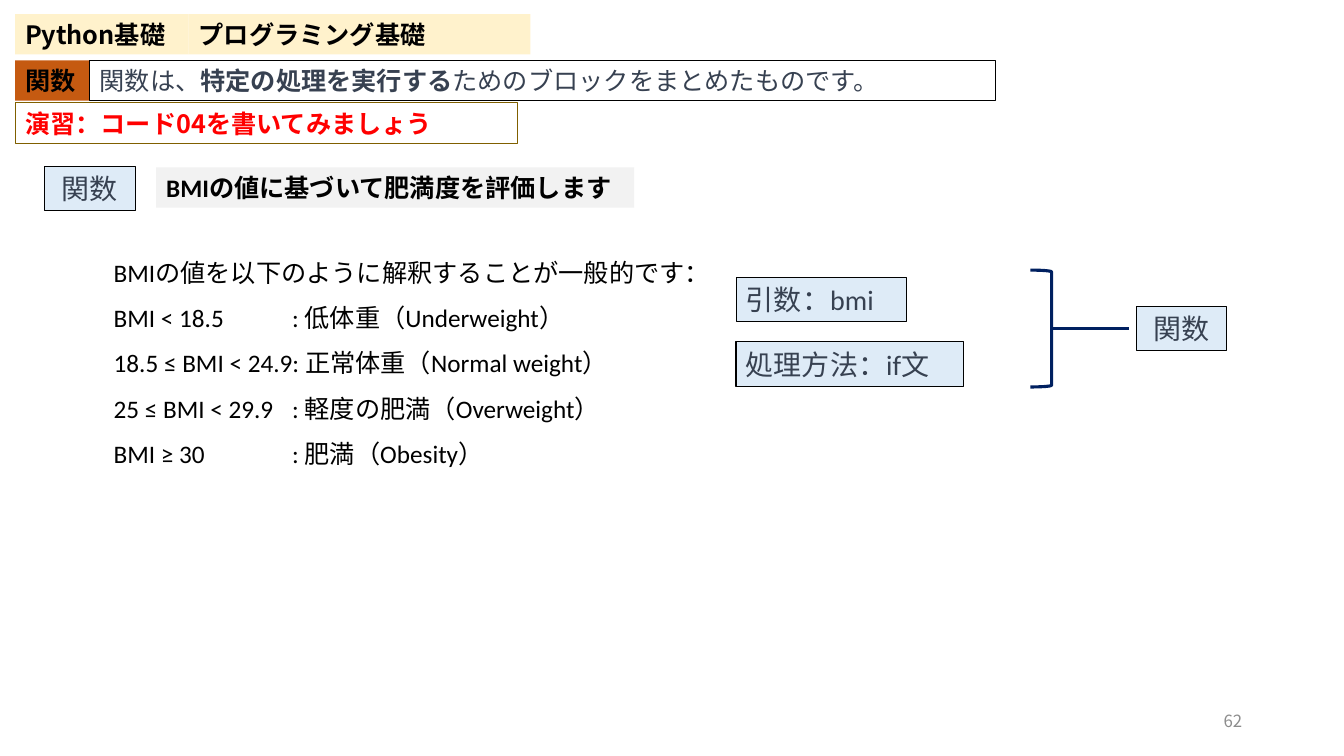
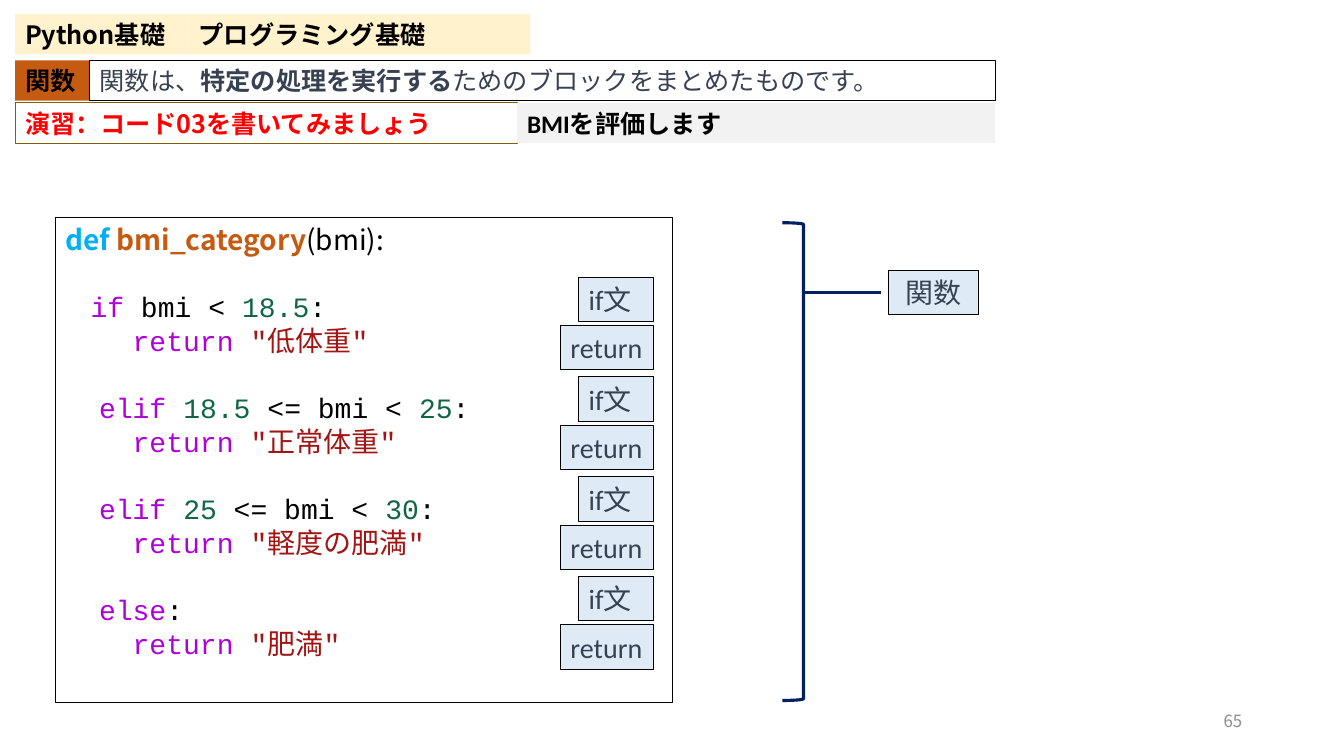
from lxml import etree
from pptx import Presentation
from pptx.dml.color import RGBColor
from pptx.enum.shapes import MSO_CONNECTOR as CONN, MSO_SHAPE as SHAPE
from pptx.enum.text import MSO_ANCHOR as ANCHOR, MSO_AUTO_SIZE as AUTO, PP_ALIGN as ALIGN
from pptx.oxml.ns import qn
from pptx.util import Inches, Pt

C = {
    "black": "000000", "cream": "FFF2CC", "orange": "C55A11", "red": "FF0000",
    "olive": "806000", "slate": "374151", "pale": "DEEBF7", "gray": "F2F2F2",
    "navy": "002060", "number": "8C8C8C", "cyan": "00B0F0", "keyword": "AF00DB",
    "literal": "116644", "string": "A31515",
}
SANS, BODY, MONO = "Noto Sans CJK JP", "Calibri", "Courier New"


def write(p, text, size, font=BODY, color="black", bold=False):
    r = p.add_run()
    r.text = text
    r.font.size = Pt(size)
    r.font.bold = bold
    r.font.color.rgb = RGBColor.from_string(C[color])
    r.font.name = font
    if font == SANS:
        etree.SubElement(r._r.rPr, qn("a:ea")).set("typeface", font)


def box(s, x, y, w, h, fill=None, line=None, align=ALIGN.LEFT, anchor=ANCHOR.MIDDLE,
        shape=SHAPE.RECTANGLE, weight=0.75):
    sp = s.shapes.add_shape(shape, Inches(x), Inches(y), Inches(w), Inches(h))
    sp.shadow.inherit = False
    if fill:
        sp.fill.solid()
        sp.fill.fore_color.rgb = RGBColor.from_string(C[fill])
    else:
        sp.fill.background()
    if line:
        sp.line.color.rgb = RGBColor.from_string(C[line])
        sp.line.width = Pt(weight)
    else:
        sp.line.fill.background()
    tf = sp.text_frame
    tf.word_wrap = True
    tf.vertical_anchor = anchor
    tf.paragraphs[0].alignment = align
    return tf.paragraphs[0]


prs = Presentation()
prs.slide_width, prs.slide_height = Inches(13.33), Inches(7.5)

slides = []
for number, code_number in (("62", "04"), ("65", "03")):
    s = prs.slides.add_slide(prs.slide_layouts[5])
    slides.append(s)

    title = s.shapes.title
    title.left, title.top = Inches(1.87), Inches(0.14)
    title.width, title.height = Inches(3.39), Inches(0.4)
    title.fill.solid()
    title.fill.fore_color.rgb = RGBColor.from_string(C["cream"])
    tf = title.text_frame
    tf.auto_size = AUTO.NONE
    tf.vertical_anchor = ANCHOR.MIDDLE
    tf.paragraphs[0].alignment = ALIGN.LEFT
    write(tf.paragraphs[0], "プログラミング基礎", 18, SANS, bold=True)

    write(box(s, 0.15, 0.14, 1.72, 0.4, "cream"), "Python基礎", 18, SANS, bold=True)
    write(box(s, 0.15, 0.6, 0.74, 0.4, "orange"), "関数", 18, SANS, bold=True)
    write(box(s, 0.15, 1.02, 4.98, 0.4, line="olive"),
          f"演習：コード{code_number}を書いてみましょう", 18, SANS, "red", True)

    p = box(s, 0.89, 0.6, 8.98, 0.4, line="black", align=ALIGN.JUSTIFY)
    for text, bold in (("関数は、", False), ("特定の処理を実行する", True),
                       ("ためのブロックをまとめたものです。", False)):
        write(p, text, 18, color="slate", bold=bold)

    write(box(s, 9.42, 6.95, 3, 0.4, align=ALIGN.RIGHT), number, 12, SANS, "number")

rules, code = slides

for s, x, y, w, text in (
    (rules, 1.55, 1.66, 4.74, "BMIの値に基づいて肥満度を評価します"),
    (code, 5.13, 1.02, 4.74, "BMIを評価します"),
):
    write(box(s, x, y, w, 0.4, "gray"), text, 18, bold=True)

tb = rules.shapes.add_textbox(Inches(1.03), Inches(2.35), Inches(6.36), Inches(2.33))
tf = tb.text_frame
tf.word_wrap = True
for i, text in enumerate((
    "BMIの値を以下のように解釈することが一般的です：",
    "BMI < 18.5\t: 低体重（Underweight）",
    "18.5 ≤ BMI < 24.9: 正常体重（Normal weight）",
    "25 ≤ BMI < 29.9\t: 軽度の肥満（Overweight）",
    "BMI ≥ 30\t: 肥満（Obesity）",
)):
    p = tf.add_paragraph() if i else tf.paragraphs[0]
    p.line_spacing = 1.5
    tabs = etree.SubElement(p._p.get_or_add_pPr(), qn("a:tabLst"))
    etree.SubElement(tabs, qn("a:tab"), pos=str(Inches(1.77)), algn="l")
    write(p, text, 18)

p = box(code, 0.55, 2.16, 6.12, 4.81, line="black", anchor=ANCHOR.TOP)
write(p, "def ", 20, SANS, "cyan", True)
write(p, "bmi_category", 20, SANS, "orange", True)
write(p, "(bmi):", 20, SANS)
branches = (
    ((("if", "keyword"), (" bmi < ", "black"), ("18.5", "literal")), "低体重"),
    ((("  elif ", "keyword"), ("18.5", "literal"), (" <= bmi < ", "black"),
      ("25", "literal")), "正常体重"),
    ((("  elif ", "keyword"), ("25", "literal"), (" <= bmi < ", "black"),
      ("30", "literal")), "軽度の肥満"),
    ((("  else", "keyword"),), "肥満"),
)
tf = code.shapes[-1].text_frame
for i, (condition, result) in enumerate(branches):
    p = tf.add_paragraph()
    p.alignment = ALIGN.LEFT
    p.space_before = Pt(24)
    if i == 0:
        write(p, "    ", 20, SANS)
    for text, color in condition + ((":", "black"),):
        write(p, text, 20, MONO, color)
    p = tf.add_paragraph()
    p.alignment = ALIGN.LEFT
    write(p, "    return ", 20, MONO, "keyword")
    write(p, f'"{result}"', 20, MONO, "string")

labels = [
    (rules, 0.44, 1.65, 0.9, "関数", ALIGN.CENTER),
    (rules, 7.3, 2.75, 1.69, "引数：bmi", ALIGN.LEFT),
    (rules, 7.3, 3.39, 2.26, "処理方法：if文", ALIGN.LEFT),
    (rules, 11.27, 3.04, 0.9, "関数", ALIGN.CENTER),
    (code, 8.81, 2.68, 0.9, "関数", ALIGN.CENTER),
]
for i in range(len(branches)):
    y = 2.75 + 0.99 * i
    labels.append((code, 5.74, y, 0.74, "if文", ALIGN.LEFT))
    labels.append((code, 5.56, y + 0.48, 0.92, "return", ALIGN.LEFT))
for s, x, y, w, text, align in labels:
    write(box(s, x, y, w, 0.44, "pale", "black", align), text, 20, color="slate")

for s, x, y, h, line_y in ((rules, 10.22, 2.68, 1.16, 3.26), (code, 7.76, 2.21, 4.74, 2.9)):
    box(s, x, y, 0.21, h, line="navy", shape=SHAPE.RIGHT_BRACKET, weight=2.25)
    cn = s.shapes.add_connector(CONN.STRAIGHT, Inches(x + 0.21), Inches(line_y),
                                Inches(x + 0.98), Inches(line_y))
    cn.line.color.rgb = RGBColor.from_string(C["navy"])
    cn.line.width = Pt(2.25)
    etree.SubElement(cn._element.spPr, qn("a:effectLst"))

prs.save("out.pptx")
